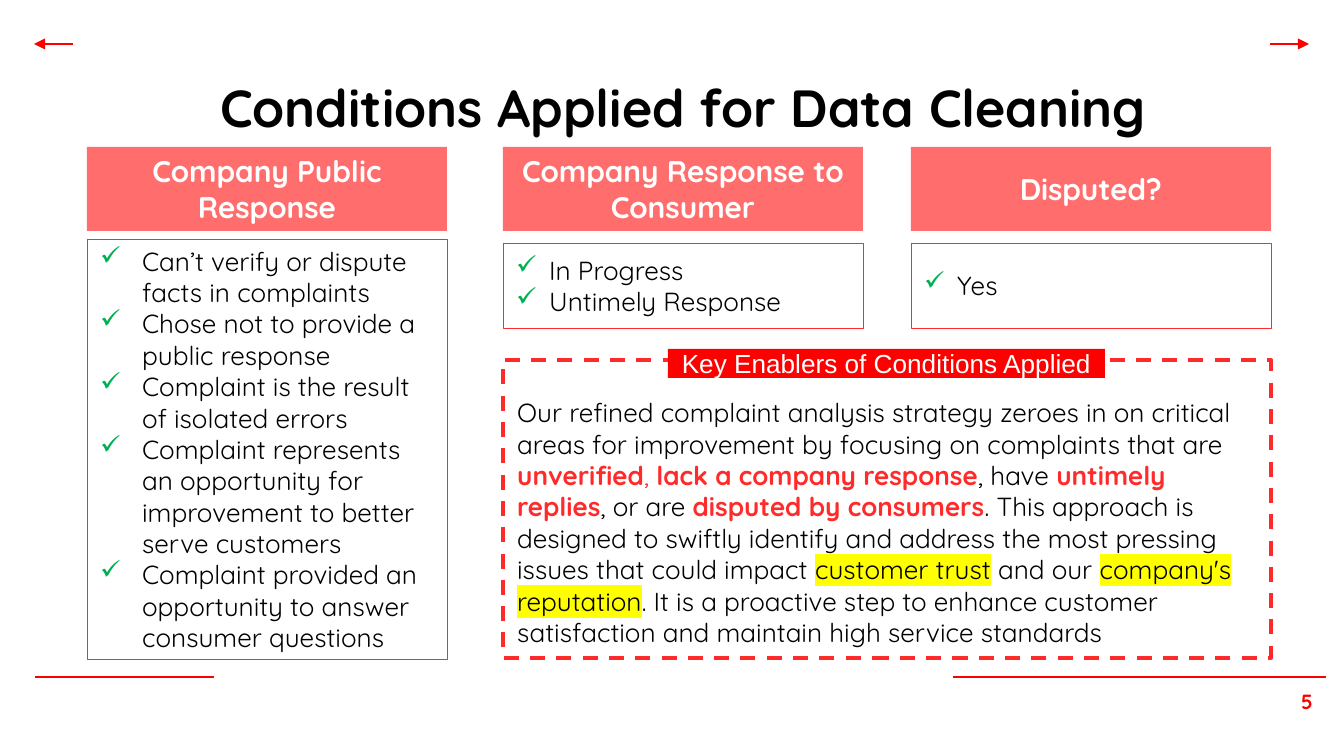
from lxml import etree
from pptx import Presentation
from pptx.dml.color import RGBColor
from pptx.enum.dml import MSO_LINE
from pptx.enum.shapes import MSO_CONNECTOR, MSO_SHAPE
from pptx.enum.text import MSO_ANCHOR, MSO_AUTO_SIZE, PP_ALIGN
from pptx.oxml.ns import qn
from pptx.util import Emu, Pt

RECTANGLE = MSO_SHAPE.RECTANGLE
STRAIGHT = MSO_CONNECTOR.STRAIGHT
DASH = MSO_LINE.DASH
TOP, MIDDLE = MSO_ANCHOR.TOP, MSO_ANCHOR.MIDDLE
LEFT, CENTER, RIGHT = PP_ALIGN.LEFT, PP_ALIGN.CENTER, PP_ALIGN.RIGHT
FIT_SHAPE = MSO_AUTO_SIZE.SHAPE_TO_FIT_TEXT

BLACK = RGBColor(0x00, 0x00, 0x00)
WHITE = RGBColor(0xFF, 0xFF, 0xFF)
RED = RGBColor(0xFD, 0x00, 0x00)
BRIGHT_RED = RGBColor(0xFF, 0x2A, 0x2A)
CORAL = RGBColor(0xFF, 0x6D, 0x6D)
GREEN = RGBColor(0x00, 0xB0, 0x50)
YELLOW = RGBColor(0xFF, 0xFF, 0x00)

PX = 914400 / 134.4
BODY = {"name": "Quicksand", "size": Pt(14), "bold": False, "color": BLACK}
TITLE = {**BODY, "size": Pt(28), "bold": True}
HEADER = {**BODY, "size": Pt(16), "bold": True, "color": WHITE}
PAGE_NUMBER = {**BODY, "size": Pt(11), "bold": True, "color": RED}
TAB = {**BODY, "name": "Arial", "color": WHITE}
RED_TEXT = {**BODY, "color": BRIGHT_RED}
STRONG = {**RED_TEXT, "bold": True}
MARKED = {**BODY, "highlight": YELLOW}

HEADER_HEIGHT = 84
COLUMNS = [
    ((87, 147, 360, 512), 92, 42, "Company Public Response", [
        "Can’t verify or dispute facts in complaints",
        "Chose not to provide a public response",
        "Complaint is the result of isolated errors",
        "Complaint represents an opportunity for improvement to better serve customers",
        "Complaint provided an opportunity to answer consumer questions",
    ]),
    ((503, 147, 360, 181), 96, 33, "Company Response to Consumer",
     ["In Progress", "Untimely Response"]),
    ((911, 147, 360, 181), 96, 33, "Disputed?", ["Yes"]),
]
ENABLERS = [
    ("Our refined complaint analysis strategy zeroes in on critical areas for "
     "improvement by focusing on complaints that are ", BODY),
    ("unverified", STRONG),
    (", ", RED_TEXT),
    ("lack a company response", STRONG),
    (", have ", BODY),
    ("untimely replies", STRONG),
    (", or are ", BODY),
    ("disputed by consumers", STRONG),
    (". This approach is designed to swiftly identify and address the most "
     "pressing issues that could impact ", BODY),
    ("customer trust", MARKED),
    (" and our ", BODY),
    ("company's reputation", MARKED),
    (". It is a proactive step to enhance customer satisfaction and maintain "
     "high service standards", BODY),
]


def px(*lengths):
    """Turn pixel lengths into a list of EMU."""
    return [Emu(round(length * PX)) for length in lengths]


def add_color(parent, tag, color):
    """Append a colour element such as a:buClr and return it."""
    element = etree.SubElement(parent, qn(tag))
    etree.SubElement(element, qn("a:srgbClr")).set("val", str(color))
    return element


def add_run(paragraph, text, style):
    """Add a run with the given format values."""
    run = paragraph.add_run()
    run.text = text
    for name, value in style.items():
        if name == "color":
            run.font.color.rgb = value
        elif name == "highlight":
            properties = run.font._element
            highlight = add_color(properties, "a:highlight", value)
            properties.find(qn("a:solidFill")).addnext(highlight)
        else:
            setattr(run.font, name, value)


def write(shape, paragraphs, align=LEFT, **frame_format):
    """Fill a shape with paragraphs, each a list of text and style pairs."""
    frame = shape.text_frame
    for name, value in {"word_wrap": True, **frame_format}.items():
        setattr(frame, name, value)
    for index, runs in enumerate(paragraphs):
        paragraph = frame.add_paragraph() if index else frame.paragraphs[0]
        paragraph.alignment = align
        for text, style in runs:
            add_run(paragraph, text, style)


def add_check_bullets(shape, indent):
    """Give every paragraph a green check mark and a hanging indent."""
    hang = px(indent)[0]
    for paragraph in shape.text_frame.paragraphs:
        properties = paragraph._p.get_or_add_pPr()
        properties.set("marL", str(hang))
        properties.set("indent", str(-hang))
        add_color(properties, "a:buClr", GREEN)
        etree.SubElement(properties, qn("a:buChar")).set("char", "✓")


def add_rectangle(slide, box, fill=None, line=None, width=0.25):
    """Add a rectangle with an optional fill and outline."""
    shape = slide.shapes.add_shape(RECTANGLE, *px(*box))
    shape.shadow.inherit = False
    if fill is None:
        shape.fill.background()
    else:
        shape.fill.solid()
        shape.fill.fore_color.rgb = fill
    if line is None:
        shape.line.fill.background()
    else:
        shape.line.color.rgb = line
        shape.line.width = Pt(width)
    return shape


def add_rule(slide, start, end, y, arrow=False):
    """Add a thin horizontal red line, with an arrowhead if asked."""
    connector = slide.shapes.add_connector(STRAIGHT, *px(start, y, end, y))
    connector.line.color.rgb = RED
    connector.line.width = Pt(0.75)
    if arrow:
        line = connector.line._get_or_add_ln()
        etree.SubElement(line, qn("a:tailEnd")).set("type", "triangle")
    etree.SubElement(connector._element.spPr, qn("a:effectLst"))


def add_label(slide, box, text, style, align):
    """Add a one-line text box with equal margins on all sides."""
    margin = px(13)[0]
    label = slide.shapes.add_textbox(*px(*box))
    write(label, [[(text, style)]], align, vertical_anchor=TOP,
          margin_left=margin, margin_right=margin,
          margin_top=margin, margin_bottom=margin)


def add_column(slide, box, list_offset, indent, heading, items):
    """Add a coral heading above an outlined check list."""
    left, top, width, height = box
    header = add_rectangle(slide, (left, top, width, HEADER_HEIGHT), fill=CORAL)
    write(header, [[(heading, HEADER)]], CENTER, vertical_anchor=MIDDLE)
    list_box = (left, top + list_offset, width, height - list_offset)
    check_list = add_rectangle(slide, list_box, line=BRIGHT_RED)
    write(check_list, [[(item, BODY)] for item in items], vertical_anchor=MIDDLE)
    add_check_bullets(check_list, indent)


def add_enablers(slide, box):
    """Add the dashed panel with its red tab and explanation."""
    left, top, width, height = box
    panel = add_rectangle(slide, box, line=BRIGHT_RED, width=2)
    panel.line.dash_style = DASH
    tab = add_rectangle(slide, (left + 165, top - 11, 437, 29), fill=RED)
    write(tab, [[("Key Enablers of Conditions Applied", TAB)]], CENTER,
          vertical_anchor=MIDDLE, word_wrap=False)
    body = slide.shapes.add_textbox(*px(left + 1, top + 30, width, height - 30))
    write(body, [ENABLERS], auto_size=FIT_SHAPE)


def add_frame(slide, box):
    """Add the navigation arrows, footer rules, title and page number."""
    left, top, width, height = box
    right, footer = left + width, top + height
    add_rule(slide, left, left + 179, footer)
    add_rule(slide, right - 373, right, footer)
    add_label(slide, (right - 86, footer, 86, 58), "5", PAGE_NUMBER, RIGHT)
    add_label(slide, (left + 52, top + 18, 1192, 84),
              "Conditions Applied for Data Cleaning", TITLE, CENTER)
    add_rule(slide, right - 56, right - 17, top, arrow=True)
    add_rule(slide, left + 38, left - 1, top, arrow=True)


def main():
    """Build the slide and save it."""
    presentation = Presentation()
    presentation.slide_width, presentation.slide_height = px(1344, 756)
    slide = presentation.slides.add_slide(presentation.slide_layouts[6])
    add_frame(slide, (35, 44, 1291, 633))
    for column in COLUMNS:
        add_column(slide, *column)
    add_enablers(slide, (503, 360, 768, 298))
    presentation.save("out.pptx")


if __name__ == "__main__":
    main()
